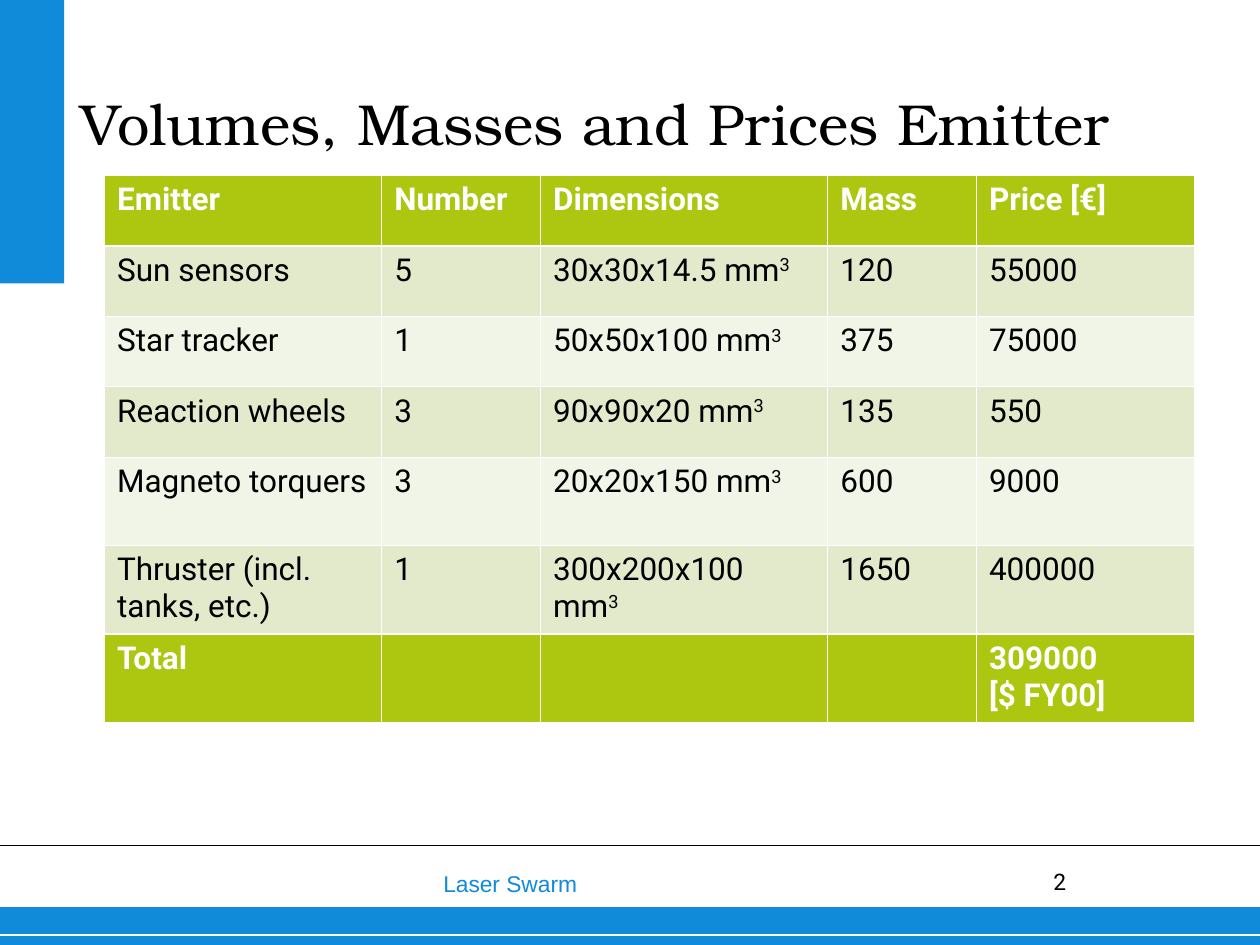
import pptx
import pptx.dml.color
import pptx.enum.shapes
import pptx.enum.text
import pptx.oxml.ns
import pptx.util
from lxml import etree
from pptx.util import Inches

COLORS = {"blue": "108BD9", "green": "ADC610", "band": "E3EACC",
          "light": "F1F5E7", "white": "FFFFFF", "black": "000000"}
COLUMNS = [2.2, 1.26, 2.28, 1.18, 1.73]
HEIGHTS = [0.56] * 4 + [0.7] * 3
ROWS = [
    ["Emitter", "Number", "Dimensions", "Mass", "Price [€]"],
    ["Sun sensors", "5", "30x30x14.5 mm^3", "120", "55000"],
    ["Star tracker", "1", "50x50x100 mm^3", "375", "75000"],
    ["Reaction wheels", "3", "90x90x20 mm^3", "135", "550"],
    ["Magneto torquers", "3", "20x20x150 mm^3", "600", "9000"],
    ["Thruster (incl. tanks, etc.)", "1", "300x200x100 mm^3", "1650", "400000"],
    ["Total", "", "", "", "309000\n[$ FY00]"],
]


def rgb(name):
    """Return the named colour."""
    return pptx.dml.color.RGBColor.from_string(COLORS[name])


def put_text(tf, text, size=18, font="Roboto", color="black", bold=False):
    """Fill a text frame; a caret marks the superscript that ends a line."""
    for i, line in enumerate(text.split("\n")):
        p = tf.add_paragraph() if i else tf.paragraphs[0]
        p.alignment = pptx.enum.text.PP_ALIGN.LEFT
        for j, part in enumerate(line.split("^")):
            r = p.add_run()
            r.text = part
            r.font.size = pptx.util.Pt(size)
            r.font.name = font
            r.font.bold = bold
            r.font.color.rgb = rgb(color)
            if j:
                r.font._element.set("baseline", "30000")


def set_margins(tf, x=0, y=0):
    """Set the insets of a text frame and let it wrap."""
    tf.margin_left = tf.margin_right = Inches(x)
    tf.margin_top = tf.margin_bottom = Inches(y)
    tf.word_wrap = True


def add_label(s, box, text, margins=(0, 0), **fmt):
    """Add a text box."""
    tf = s.shapes.add_textbox(*map(Inches, box)).text_frame
    set_margins(tf, *margins)
    put_text(tf, text, **fmt)


def add_bar(s, box):
    """Add a plain blue rectangle."""
    sp = s.shapes.add_shape(pptx.enum.shapes.MSO_SHAPE.RECTANGLE, *map(Inches, box))
    sp.shadow.inherit = False
    sp.fill.solid()
    sp.fill.fore_color.rgb = rgb("blue")
    sp.line.fill.background()


def add_rule(s, y, color, width):
    """Add a line across the whole slide."""
    c = s.shapes.add_connector(pptx.enum.shapes.MSO_CONNECTOR.STRAIGHT,
                               0, Inches(y), Inches(10), Inches(y))
    c.line.color.rgb = rgb(color)
    c.line.width = pptx.util.Pt(width)
    etree.SubElement(c._element.spPr, pptx.oxml.ns.qn("a:effectLst"))


def set_borders(cell, top, bottom):
    """Give a cell white borders, thin at the sides."""
    qn = pptx.oxml.ns.qn
    tcPr = cell._tc.get_or_add_tcPr()
    widths = {"L": 0.45, "R": 0.45, "T": top, "B": bottom}
    for i, (side, width) in enumerate(widths.items()):
        ln = etree.Element(qn(f"a:ln{side}"), w=str(pptx.util.Pt(width)))
        fill = etree.SubElement(ln, qn("a:solidFill"))
        etree.SubElement(fill, qn("a:srgbClr"), val=COLORS["white"])
        tcPr.insert(i, ln)


def add_price_table(s):
    """Add the table of emitter parts."""
    last = len(ROWS) - 1
    t = s.shapes.add_table(len(ROWS), len(COLUMNS), Inches(0.83), Inches(1.39),
                           Inches(sum(COLUMNS)), Inches(sum(HEIGHTS))).table
    for column, width in zip(t.columns, COLUMNS):
        column.width = Inches(width)
    for i, (row, height) in enumerate(zip(ROWS, HEIGHTS)):
        t.rows[i].height = Inches(height)
        strong = i in (0, last)
        fill = "green" if strong else "band" if i % 2 else "light"
        for j, text in enumerate(row):
            cell = t.cell(i, j)
            cell.fill.solid()
            cell.fill.fore_color.rgb = rgb(fill)
            set_borders(cell, 1.47 if i in (1, last) else 0.45,
                        1.47 if i in (0, last - 1) else 0.45)
            if text:
                put_text(cell.text_frame, text, bold=strong,
                         color="white" if strong else "black")


def set_title(s, text):
    """Move and format the title placeholder."""
    sp = s.shapes.title
    sp.left, sp.top, sp.width, sp.height = map(Inches, (0.64, 0.08, 8.93, 1.17))
    tf = sp.text_frame
    set_margins(tf)
    tf.auto_size = pptx.enum.text.MSO_AUTO_SIZE.NONE
    tf.vertical_anchor = pptx.enum.text.MSO_ANCHOR.BOTTOM
    put_text(tf, text, size=33, font="TeX Gyre Bonum")


def main():
    """Build and save the slide."""
    prs = pptx.Presentation()
    prs.slide_width, prs.slide_height = Inches(10), Inches(7.5)
    s = prs.slides.add_slide(prs.slide_layouts[5])
    add_label(s, (8.36, 6.89, 0.59, 0.28), "2", size=13)
    add_bar(s, (0, 7.2, 10, 0.3))
    add_rule(s, 7.42, "white", 0.75)
    add_rule(s, 6.71, "black", 1)
    add_label(s, (3.42, 6.85, 4.83, 0.32), "Laser Swarm", margins=(0.1, 0.05),
              size=13, font="Arial", color="blue")
    add_bar(s, (0, 0, 0.51, 2.25))
    set_title(s, "Volumes, Masses and Prices Emitter")
    add_price_table(s)
    prs.save("out.pptx")


if __name__ == "__main__":
    main()
